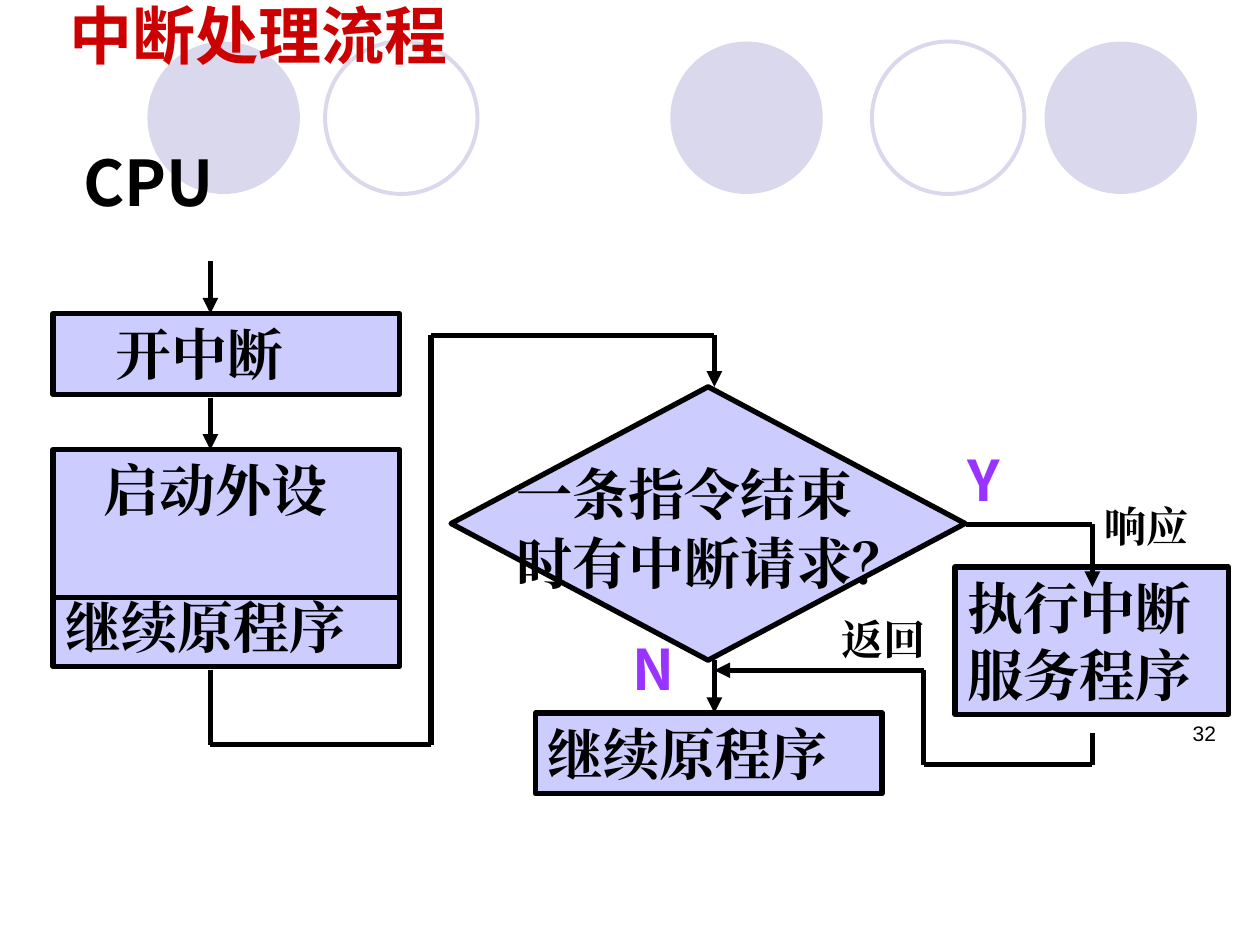
from pptx import Presentation
from pptx.dml.color import RGBColor
from pptx.enum.shapes import MSO_CONNECTOR, MSO_SHAPE
from pptx.enum.text import MSO_ANCHOR, PP_ALIGN
from pptx.oxml.ns import qn
from pptx.util import Inches, Pt
from lxml import etree

SERIF = "Times New Roman"
SANS = "Noto Sans CJK SC"
BLACK = "000000"
PURPLE = "9933FF"
BOX_FILL = "CCCCFF"
CIRCLE_COLOR = "D9D8EC"


def rgb(hex_color):
    return RGBColor.from_string(hex_color)


def write(shape, text, size, font=SERIF, color=BLACK, bold=True, indent=0,
          align=PP_ALIGN.LEFT, spacing=None):
    frame = shape.text_frame
    frame.word_wrap = True
    frame.vertical_anchor = MSO_ANCHOR.TOP
    frame.margin_left = Inches(0.1 + indent)
    frame.text = text
    for index, paragraph in enumerate(frame.paragraphs):
        paragraph.alignment = align
        if spacing:
            paragraph.line_spacing = spacing
        if index:
            paragraph.space_before = Pt(20)
        for run in paragraph.runs:
            run.font.size = Pt(size)
            run.font.bold = bold
            run.font.name = font
            run.font.color.rgb = rgb(color)
            east_asian = etree.SubElement(run.font._element, qn("a:ea"))
            east_asian.set("typeface", font)


def add_label(slide, at, text, size, **style):
    label = slide.shapes.add_textbox(*map(Inches, at))
    write(label, text, size, **style)


def add_block(slide, kind, at, fill=None, line=None, width=3):
    block = slide.shapes.add_shape(kind, *map(Inches, at))
    block.shadow.inherit = False
    if fill:
        block.fill.solid()
        block.fill.fore_color.rgb = rgb(fill)
    else:
        block.fill.background()
    if line:
        block.line.color.rgb = rgb(line)
        block.line.width = Pt(width)
    else:
        block.line.fill.background()
    return block


def add_step(slide, at, text, indent=0):
    step = add_block(slide, MSO_SHAPE.RECTANGLE, at, BOX_FILL, BLACK)
    write(step, text, 32, indent=indent)


def add_route(slide, points, arrow=True):
    """Join the points with straight lines, the last one with an arrowhead."""
    last = len(points) - 2
    for index, (start, end) in enumerate(zip(points, points[1:])):
        segment = slide.shapes.add_connector(
            MSO_CONNECTOR.STRAIGHT, *map(Inches, start + end))
        segment.line.color.rgb = rgb(BLACK)
        segment.line.width = Pt(3)
        if arrow and index == last:
            head = etree.SubElement(segment.line._get_or_add_ln(), qn("a:tailEnd"))
            head.set("type", "triangle")
        etree.SubElement(segment._element.spPr, qn("a:effectLst"))


def add_circles(slide):
    for left in (1.17, 5.32, 8.29):
        add_block(slide, MSO_SHAPE.OVAL, (left, 0.33, 1.21, 1.21), fill=CIRCLE_COLOR)
    for left in (2.58, 6.92):
        add_block(slide, MSO_SHAPE.OVAL, (left, 0.33, 1.21, 1.21),
                  line=CIRCLE_COLOR, width=2.25)


def main():
    presentation = Presentation()
    presentation.slide_width = Inches(10)
    presentation.slide_height = Inches(7.5)
    slide = presentation.slides.add_slide(presentation.slide_layouts[6])

    # Background circles, headings and page number
    add_circles(slide)
    add_label(slide, (0, -0.08, 4.67, 0.7), "中断处理流程", 36,
              font=SANS, color="CC0000", indent=0.45)
    add_label(slide, (0, 1.09, 6.25, 0.7), "CPU", 36, font=SANS, indent=0.56)
    add_label(slide, (7.42, 5.67, 2.33, 0.5), "32", 12,
              font="Arial", bold=False, align=PP_ALIGN.RIGHT)

    # Main program steps
    add_step(slide, (0.42, 2.49, 2.75, 0.64), "开中断", indent=0.4)
    add_step(slide, (0.42, 4.65, 2.75, 0.64), "继续原程序")
    add_step(slide, (0.42, 3.57, 2.75, 1.17), "启动外设", indent=0.3)

    # Interrupt request decision
    add_block(slide, MSO_SHAPE.FLOWCHART_DECISION, (3.58, 3.07, 4.08, 2.17),
              BOX_FILL, BLACK)
    add_label(slide, (4, 3.83, 3.5, 0.91), "一条指令结束\n时有中断请求？", 32,
              spacing=0.5)

    # Outcomes of the decision
    add_step(slide, (7.58, 4.5, 2.17, 1.17), "执行中断服务程序")
    add_step(slide, (4.25, 5.66, 2.75, 0.64), "继续原程序")

    # Flow lines
    for route in (
        [(1.67, 2.07), (1.67, 2.49)],
        [(1.67, 3.16), (1.67, 3.57)],
        [(1.67, 5.32), (1.67, 5.91), (3.42, 5.91), (3.42, 2.66), (5.67, 2.66),
         (5.67, 3.07)],
        [(5.67, 5.24), (5.67, 5.66)],
        [(7.67, 4.16), (8.67, 4.16), (8.67, 4.66)],
        [(8.67, 5.82), (8.67, 6.07), (7.33, 6.07), (7.33, 5.32), (5.67, 5.32)],
    ):
        add_route(slide, route)

    # Branch labels
    add_label(slide, (4.92, 4.99, 0.75, 0.64), "N", 32, font=SANS, color=PURPLE)
    add_label(slide, (7.58, 3.49, 0.75, 0.64), "Y", 32, font=SANS, color=PURPLE)
    add_label(slide, (8.67, 3.92, 1.33, 0.5), "响应", 24)
    add_label(slide, (6.58, 4.82, 1.33, 0.5), "返回", 24)

    presentation.save("out.pptx")


if __name__ == "__main__":
    main()
